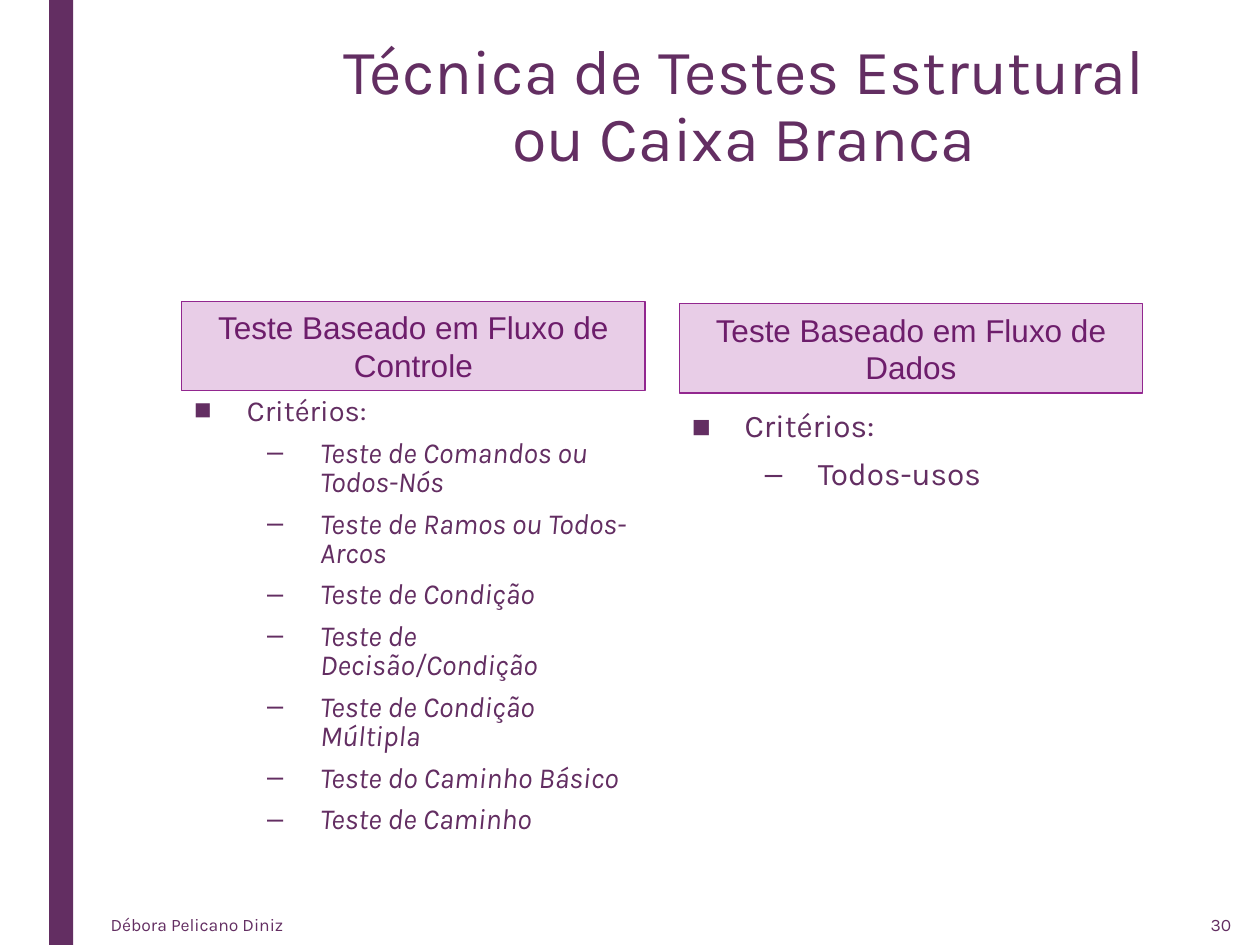
from dataclasses import dataclass

from lxml.etree import SubElement
from pptx import Presentation
from pptx.dml.color import RGBColor
from pptx.enum.shapes import MSO_SHAPE
from pptx.enum.text import MSO_ANCHOR, MSO_AUTO_SIZE, PP_ALIGN
from pptx.oxml.ns import qn
from pptx.util import Emu, Inches, Pt

COLUMNS, ROWS = 100, 75
PAGE_WIDTH, PAGE_HEIGHT = Inches(10), Inches(7.5)


@dataclass(frozen=True)
class Theme:
    text: str = "632E62"
    panel: str = "E8CDE7"
    panel_line: str = "92278F"
    panel_text: str = "6D1D6B"
    body_font: str = "Karla"
    panel_font: str = "Arial"
    title_size: float = 36
    panel_size: float = 18
    footer_size: float = 10


@dataclass(frozen=True)
class Area:
    """A place on the page, in grid columns and rows."""
    column: float
    row: float
    columns: float
    rows: float

    def place(self) -> tuple:
        return (Emu(round(self.column * PAGE_WIDTH / COLUMNS)),
                Emu(round(self.row * PAGE_HEIGHT / ROWS)),
                Emu(round(self.columns * PAGE_WIDTH / COLUMNS)),
                Emu(round(self.rows * PAGE_HEIGHT / ROWS)))


@dataclass(frozen=True)
class Level:
    bullet: str
    margin: float
    before: float


@dataclass(frozen=True)
class Technique:
    heading: str
    heading_area: Area
    criteria: tuple
    list_area: Area
    size: float
    line_spacing: float
    italic: bool


THEME = Theme()
HANGING = 0.42
LEVELS = (Level("■", HANGING, 10), Level("–", 1, 5))
LEFT, RIGHT, WIDTH = 14.4, 53.9, 36.8

TECHNIQUES = (
    Technique("Teste Baseado em Fluxo de Controle", Area(LEFT, 23.9, WIDTH, 7.1),
              ("Teste de Comandos ou Todos-Nós", "Teste de Ramos ou Todos-Arcos",
               "Teste de Condição", "Teste de Decisão/Condição",
               "Teste de Condição Múltipla", "Teste do Caminho Básico",
               "Teste de Caminho"),
              Area(LEFT, 31.1, WIDTH, 39.2), 16.6, 0.84, True),
    Technique("Teste Baseado em Fluxo de Dados", Area(RIGHT, 24.1, WIDTH, 7.1),
              ("Todos-usos",),
              Area(RIGHT, 32, WIDTH, 44.7), 18, 0.94, False),
)


def add_span(para, text: str, size: float, font: str = THEME.body_font,
             color: str = THEME.text, italic: bool = False) -> None:
    span = para.add_run()
    span.text = text
    span.font.size = Pt(size)
    span.font.name = font
    span.font.italic = italic
    span.font.color.rgb = RGBColor.from_string(color)


def move(box, area: Area) -> None:
    box.left, box.top, box.width, box.height = area.place()


def add_rectangle(page, area: Area, fill: str):
    box = page.shapes.add_shape(MSO_SHAPE.RECTANGLE, *area.place())
    box.shadow.inherit = False
    box.fill.solid()
    box.fill.fore_color.rgb = RGBColor.from_string(fill)
    box.line.fill.background()
    return box


def add_heading(page, technique: Technique) -> None:
    box = add_rectangle(page, technique.heading_area, THEME.panel)
    box.line.color.rgb = RGBColor.from_string(THEME.panel_line)
    box.line.width = Pt(0.75)
    box.text_frame.word_wrap = True
    para = box.text_frame.paragraphs[0]
    para.alignment = PP_ALIGN.CENTER
    add_span(para, technique.heading, THEME.panel_size,
             THEME.panel_font, THEME.panel_text)


def set_bullet(para, level: Level) -> None:
    properties = para._p.get_or_add_pPr()
    properties.set("marL", str(Inches(level.margin)))
    properties.set("indent", str(-Inches(HANGING)))
    SubElement(properties, qn("a:buChar")).set("char", level.bullet)


def fill_list(box, technique: Technique) -> None:
    move(box, technique.list_area)
    frame = box.text_frame
    frame.auto_size = MSO_AUTO_SIZE.NONE
    frame.vertical_anchor = MSO_ANCHOR.TOP
    items = [(0, "Critérios:")] + [(1, name) for name in technique.criteria]
    for index, (depth, text) in enumerate(items):
        para = frame.add_paragraph() if index else frame.paragraphs[0]
        para.level = depth
        set_bullet(para, LEVELS[depth])
        para.line_spacing = technique.line_spacing
        para.space_before = Pt(LEVELS[depth].before if index else 0)
        para.space_after = Pt(2)
        add_span(para, text, technique.size,
                 italic=technique.italic and depth > 0)


def fill_title(box, text: str) -> None:
    move(box, Area(23.6, 2.7, 70.9, 12))
    box.text_frame.auto_size = MSO_AUTO_SIZE.NONE
    box.text_frame.vertical_anchor = MSO_ANCHOR.TOP
    para = box.text_frame.paragraphs[0]
    para.alignment = PP_ALIGN.CENTER
    para.line_spacing = 0.89
    add_span(para, text, THEME.title_size)


def add_footer(page, area: Area, text: str, alignment: PP_ALIGN) -> None:
    frame = page.shapes.add_textbox(*area.place()).text_frame
    frame.word_wrap = True
    frame.vertical_anchor = MSO_ANCHOR.MIDDLE
    frame.paragraphs[0].alignment = alignment
    add_span(frame.paragraphs[0], text, THEME.footer_size)


def main() -> None:
    deck = Presentation()
    deck.slide_width, deck.slide_height = PAGE_WIDTH, PAGE_HEIGHT
    page = deck.slides.add_slide(deck.slide_layouts.get_by_name("Two Content"))
    title, *lists = page.placeholders
    add_rectangle(page, Area(3.9, 0, 1.9, ROWS), THEME.text)
    fill_title(title, "Técnica de Testes Estrutural ou Caixa Branca")
    for box, technique in zip(lists, TECHNIQUES):
        fill_list(box, technique)
        add_heading(page, technique)
    add_footer(page, Area(7.8, 71.8, 51.5, 3.2), "Débora Pelicano Diniz", PP_ALIGN.LEFT)
    add_footer(page, Area(93.3, 71.8, 5.4, 3.2), "30", PP_ALIGN.RIGHT)
    deck.save("out.pptx")


if __name__ == "__main__":
    main()
